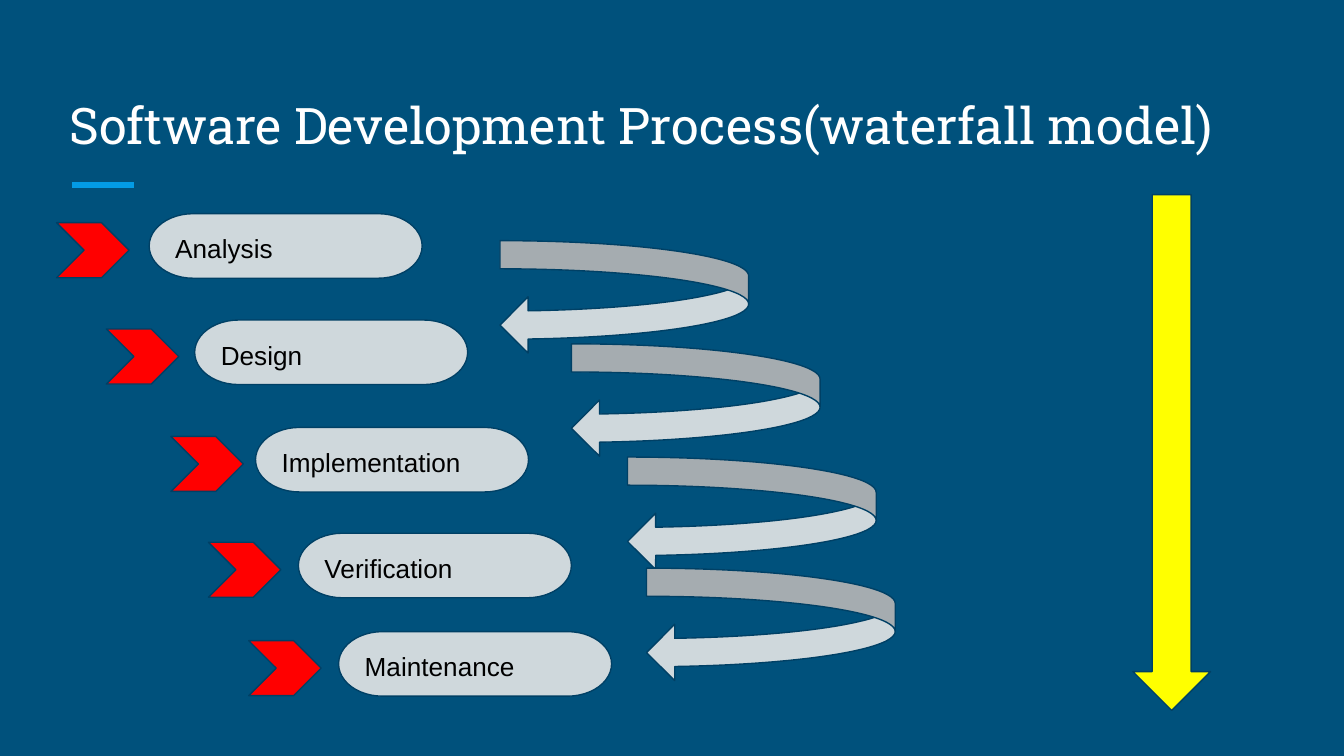
from lxml.etree import SubElement
from pptx import Presentation
from pptx.dml.color import RGBColor
from pptx.enum.shapes import MSO_CONNECTOR, MSO_SHAPE
from pptx.enum.text import MSO_ANCHOR, PP_ALIGN
from pptx.oxml.ns import qn
from pptx.util import Cm, Pt

COLORS = {
    "background": "00517C",
    "accent": "039BE5",
    "title": "FFFFFF",
    "text": "000000",
    "panel": "CFD8DC",
    "outline": "004065",
    "marker": "FF0000",
    "timeline": "FFFF00",
}

# Step name, marker left, pill left, top (cm within the steps box)
STEPS = [
    ("Analysis", 0, 1.75, 0),
    ("Design", 0.94, 2.61, 2.01),
    ("Implementation", 2.16, 3.76, 4.04),
    ("Verification", 2.87, 4.57, 6.04),
    ("Maintenance", 3.63, 5.33, 7.9),
]
# Left, top (cm within the loops box)
LOOPS = [(0, 0), (1.35, 1.95), (2.41, 4.09), (2.77, 6.19)]


def color(name):
    return RGBColor.from_string(COLORS[name])


def add_outlined(s, kind, left, top, width, height, fill):
    sp = s.shapes.add_shape(kind, Cm(left), Cm(top), Cm(width), Cm(height))
    sp.shadow.inherit = False
    sp.fill.solid()
    sp.fill.fore_color.rgb = color(fill)
    sp.line.color.rgb = color("outline")
    sp.line.width = Pt(0.75)
    return sp


def write_text(sp, text, font, size, fill, anchor):
    tf = sp.text_frame
    tf.word_wrap = True
    tf.vertical_anchor = anchor
    tf.margin_left = tf.margin_right = Cm(0.25)
    tf.margin_top = tf.margin_bottom = Cm(0.25)
    p = tf.paragraphs[0]
    p.text = text
    p.alignment = PP_ALIGN.LEFT
    p.font.name = font
    p.font.size = Pt(size)
    p.font.color.rgb = color(fill)
    return p


def add_header(s, left, top, width, height):
    # Title
    sp = s.shapes.add_textbox(Cm(left), Cm(top), Cm(width), Cm(height))
    write_text(sp, "Software Development Process(waterfall model)",
               "Roboto Slab", 27, "title", MSO_ANCHOR.BOTTOM)
    # Short accent rule below the title
    x, y = left + 0.3, top + height + 0.33
    rule = s.shapes.add_connector(MSO_CONNECTOR.STRAIGHT,
                                  Cm(x), Cm(y), Cm(x + 1.17), Cm(y))
    rule.line.color.rgb = color("accent")
    rule.line.width = Pt(3)
    SubElement(rule._element.spPr, qn("a:effectLst"))


def add_steps(s, left, top):
    for name, marker_x, pill_x, y in STEPS:
        pill = add_outlined(s, MSO_SHAPE.FLOWCHART_TERMINATOR,
                            left + pill_x, top + y, 5.16, 1.22, "panel")
        p = write_text(pill, name, "Arial", 14, "text", MSO_ANCHOR.MIDDLE)
        p.line_spacing = 1.15
        add_outlined(s, MSO_SHAPE.CHEVRON,
                     left + marker_x, top + y + 0.17, 1.37, 1.04, "marker")


def add_loops(s, left, top):
    for x, y in LOOPS:
        add_outlined(s, MSO_SHAPE.CURVED_LEFT_ARROW,
                     left + x, top + y, 4.7, 2.13, "panel")


def add_timeline(s, left, top, width, height):
    add_outlined(s, MSO_SHAPE.DOWN_ARROW, left, top, width, height, "timeline")


def main():
    prs = Presentation()
    prs.slide_width, prs.slide_height = Cm(25.4), Cm(14.29)
    s = prs.slides.add_slide(prs.slide_layouts[6])
    s.background.fill.solid()
    s.background.fill.fore_color.rgb = color("background")

    add_header(s, 1.07, 1.27, 23.24, 1.9)
    add_steps(s, 1.07, 4.04)
    add_loops(s, 9.45, 4.55)
    add_timeline(s, 21.41, 3.68, 1.47, 9.75)
    prs.save("out.pptx")


if __name__ == "__main__":
    main()
